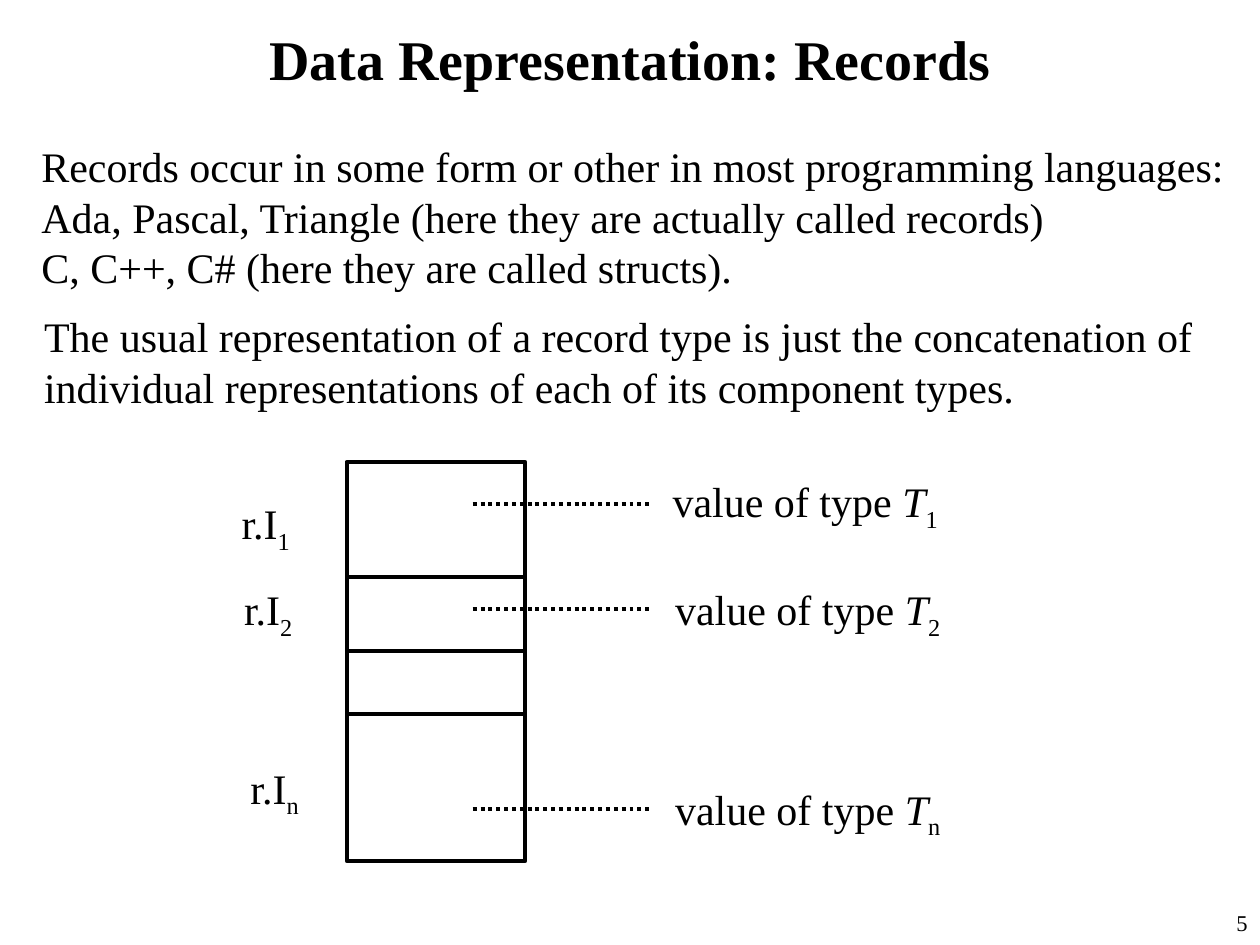
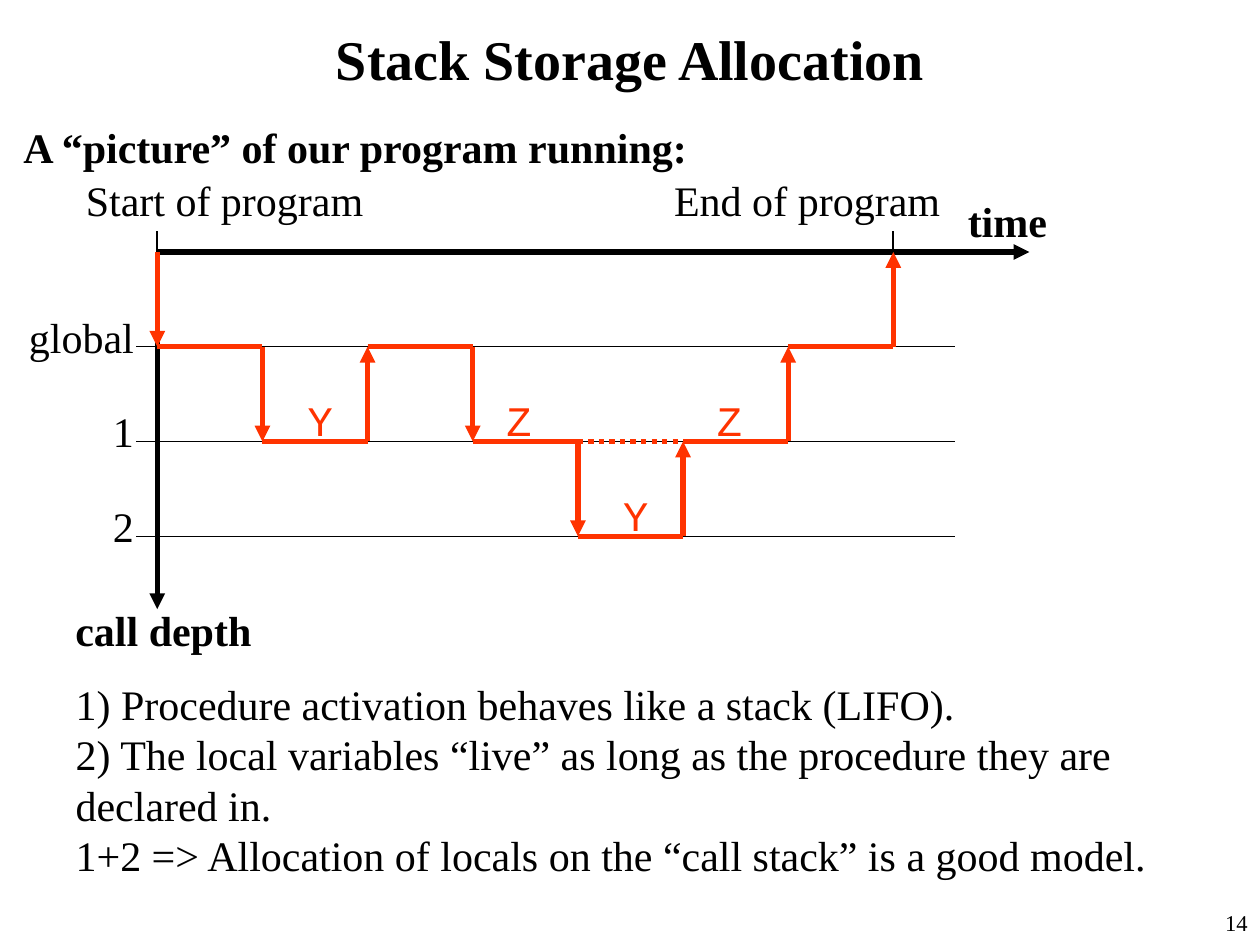
import pptx
import pptx.util
import pptx.dml.color
import pptx.enum.dml
import pptx.enum.shapes
import pptx.enum.text
import pptx.oxml
import pptx.oxml.ns

Cm, Pt = pptx.util.Cm, pptx.util.Pt
ALIGN = pptx.enum.text.PP_ALIGN
ANCHOR = pptx.enum.text.MSO_ANCHOR

# Shared style
BLACK, WHITE, RED = "000000", "FFFFFF", "FF3300"
SERIF, MONO = "Times New Roman", "Courier New"

# Content: records slide
RECORDS_TITLE = "Data Representation: Records"
LANGUAGES = [
    "Records occur in some form or other in most programming languages:",
    "Ada, Pascal, Triangle (here they are actually called records)",
    "C, C++, C# (here they are called structs).",
]
REPRESENTATION = ("The usual representation of a record type is just the concatenation of "
                  "individual representations of each of its component types.")
CELL_LEFT, CELL_TOP, CELL_WIDTH = 6.99, 9.31, 3.6
CELL_HEIGHTS = [2.33, 1.48, 1.27, 2.97]
# subscript, name position, value position, leader height
FIELDS = [
    ("1", (4.62, 9.91), (13.31, 9.47), 10.16),
    ("2", (4.67, 11.64), (13.36, 11.64), 12.28),
    ("n", (4.8, 15.24), (13.36, 15.66), 16.3),
]

# Content: stack slide
STACK_TITLE = "Stack Storage Allocation"
CAPTIONS = [  # text, left, top, width, bold
    ("Start of program", 1.48, 3.39, 6.1, False),
    ("End of program", 13.34, 3.39, 5.87, False),
    ("time", 19.26, 3.81, 2.11, True),
    ("call depth", 1.27, 12.06, 4.06, True),
    ("A “picture” of our program running:", 0.22, 2.33, 13.97, True),
]
DEPTHS = ["global", "1", "2"]
# depth and active procedure in each time slot
CALLS = [(1, ""), (2, "Y"), (1, ""), (2, "Z"), (3, "Y"), (2, "Z"), (1, "")]
SUSPENDED = (4, 2)  # slot and depth of the waiting caller
LABEL_SHIFT = {"Y": 0.66, "Z": 0.43}
CONCLUSIONS = [
    "1) Procedure activation behaves like a stack (LIFO).",
    "2) The local variables “live” as long as the procedure they are declared in.",
    "1+2 => Allocation of locals on the “call stack” is a good model.",
]
START_X, AXIS_Y, SLOT, LEVEL = 3.17, 5.08, 2.12, 1.91


def rgb(color):
    return pptx.dml.color.RGBColor.from_string(color)


def place(sp, left, top, width, height):
    sp.left, sp.top, sp.width, sp.height = Cm(left), Cm(top), Cm(width), Cm(height)


def write(tf, paragraphs, size=24, font=SERIF, color=BLACK, bold=False,
          align=ALIGN.LEFT, anchor=ANCHOR.TOP, wrap=True):
    """Fill a frame; a paragraph is a string or a list of (text, style) runs."""
    tf.word_wrap, tf.vertical_anchor = wrap, anchor
    tf.auto_size = pptx.enum.text.MSO_AUTO_SIZE.NONE
    for i, runs in enumerate(paragraphs):
        p = tf.add_paragraph() if i else tf.paragraphs[0]
        p.alignment, p.space_before = align, Pt(0)
        for text, style in [(runs, "")] if isinstance(runs, str) else runs:
            r = p.add_run()
            r.text = text
            r.font.name, r.font.size, r.font.bold = font, Pt(size), bold
            r.font.italic = style == "italic"
            r.font.color.rgb = rgb(color)
            if style == "sub":
                r._r.get_or_add_rPr().set("baseline", "-25000")


def add_text(s, paragraphs, left, top, width, height=1.27, **fmt):
    sp = s.shapes.add_textbox(Cm(left), Cm(top), Cm(width), Cm(height))
    write(sp.text_frame, paragraphs, **fmt)


def add_line(s, x1, y1, x2, y2, color=BLACK, width=3, dotted=False, arrow=False):
    sp = s.shapes.add_connector(pptx.enum.shapes.MSO_CONNECTOR.STRAIGHT,
                                Cm(x1), Cm(y1), Cm(x2), Cm(y2))
    sp.line.color.rgb, sp.line.width = rgb(color), Pt(width)
    if dotted:
        sp.line.dash_style = pptx.enum.dml.MSO_LINE.ROUND_DOT
    if arrow:
        tail = pptx.oxml.parse_xml(
            f'<a:tailEnd {pptx.oxml.ns.nsdecls("a")} type="triangle"/>')
        sp.line._get_or_add_ln().append(tail)
    sp._element.spPr.append(
        pptx.oxml.parse_xml(f'<a:effectLst {pptx.oxml.ns.nsdecls("a")}/>'))


def add_slide(prs, title, number, items, box):
    """Slide with title, unbulleted body list and page number."""
    s = prs.slides.add_slide(prs.slide_layouts[1])
    place(s.shapes.title, 0.64, 0.21, 24.13, 1.91)
    write(s.shapes.title.text_frame, [title], size=32, bold=True,
          align=ALIGN.CENTER, anchor=ANCHOR.MIDDLE)
    body = s.placeholders[1]
    place(body, *box)
    write(body.text_frame, items)
    for p in body.text_frame.paragraphs:
        pPr = p._p.get_or_add_pPr()
        pPr.set("marL", "0")
        pPr.set("indent", "0")
        pPr.append(pptx.oxml.parse_xml(f'<a:buNone {pptx.oxml.ns.nsdecls("a")}/>'))
    add_text(s, [number], 23.5, 18.2, 1.9, 0.85, size=12.9, align=ALIGN.RIGHT)
    return s


def build_records(prs):
    s = add_slide(prs, RECORDS_TITLE, "5", LANGUAGES, (0.58, 2.71, 24.8, 3.3))
    add_text(s, [REPRESENTATION], 0.64, 6.14, 23.75, 2.29)

    # Record cells
    top = CELL_TOP
    for height in CELL_HEIGHTS:
        sp = s.shapes.add_shape(pptx.enum.shapes.MSO_SHAPE.RECTANGLE,
                                Cm(CELL_LEFT), Cm(top), Cm(CELL_WIDTH), Cm(height))
        sp.shadow.inherit = False
        sp.fill.solid()
        sp.fill.fore_color.rgb = rgb(WHITE)
        sp.line.color.rgb, sp.line.width = rgb(BLACK), Pt(2.25)
        top += height

    # Field names, values and leaders
    for sub, name_at, value_at, y in FIELDS:
        add_text(s, [[("r.I", ""), (sub, "sub")]], *name_at, 1.52, 1.42, wrap=False)
        add_text(s, [[("value of type ", ""), ("T", "italic"), (sub, "sub")]],
                 *value_at, 5.84, 1.42, wrap=False)
        add_line(s, 9.53, y, 13.13, y, width=2.25, dotted=True)


def build_stack(prs):
    s = add_slide(prs, STACK_TITLE, "14", CONCLUSIONS, (1.27, 13.55, 23.5, 4.32))
    end_x = START_X + SLOT * len(CALLS)

    def depth_y(depth):
        return AXIS_Y + LEVEL * depth

    # Depth guides
    for depth, label in enumerate(DEPTHS, 1):
        y = depth_y(depth)
        add_line(s, 2.75, y, 19.26, y, width=0.75)
        add_text(s, [label], 0.33, y - 0.84, 2.62, align=ALIGN.RIGHT)

    # Axes with start and end ticks
    add_line(s, START_X, AXIS_Y, 20.75, AXIS_Y, arrow=True)
    add_line(s, START_X, AXIS_Y, START_X, 12.28, arrow=True)
    for x in (START_X, end_x):
        add_line(s, x, AXIS_Y, x, 4.66, width=1)

    # Call trace
    last_y = AXIS_Y
    for slot, (depth, procedure) in enumerate(CALLS):
        x, y = START_X + SLOT * slot, depth_y(depth)
        add_line(s, x, last_y, x, y, RED, arrow=True)
        add_line(s, x, y, x + SLOT, y, RED)
        if procedure:
            add_text(s, [procedure], x + LABEL_SHIFT[procedure], y - 1.07, 1.02,
                     font=MONO, color=RED, wrap=False)
        last_y = y
    add_line(s, end_x, last_y, end_x, AXIS_Y, RED, arrow=True)
    slot, depth = SUSPENDED
    x, y = START_X + SLOT * slot, depth_y(depth)
    add_line(s, x, y, x + SLOT, y, RED, dotted=True)

    # Captions
    for text, left, top, width, bold in CAPTIONS:
        add_text(s, [text], left, top, width, bold=bold, wrap=False)


def main():
    prs = pptx.Presentation()
    prs.slide_width, prs.slide_height = Cm(25.4), Cm(19.05)
    build_records(prs)
    build_stack(prs)
    prs.save("out.pptx")


if __name__ == "__main__":
    main()
